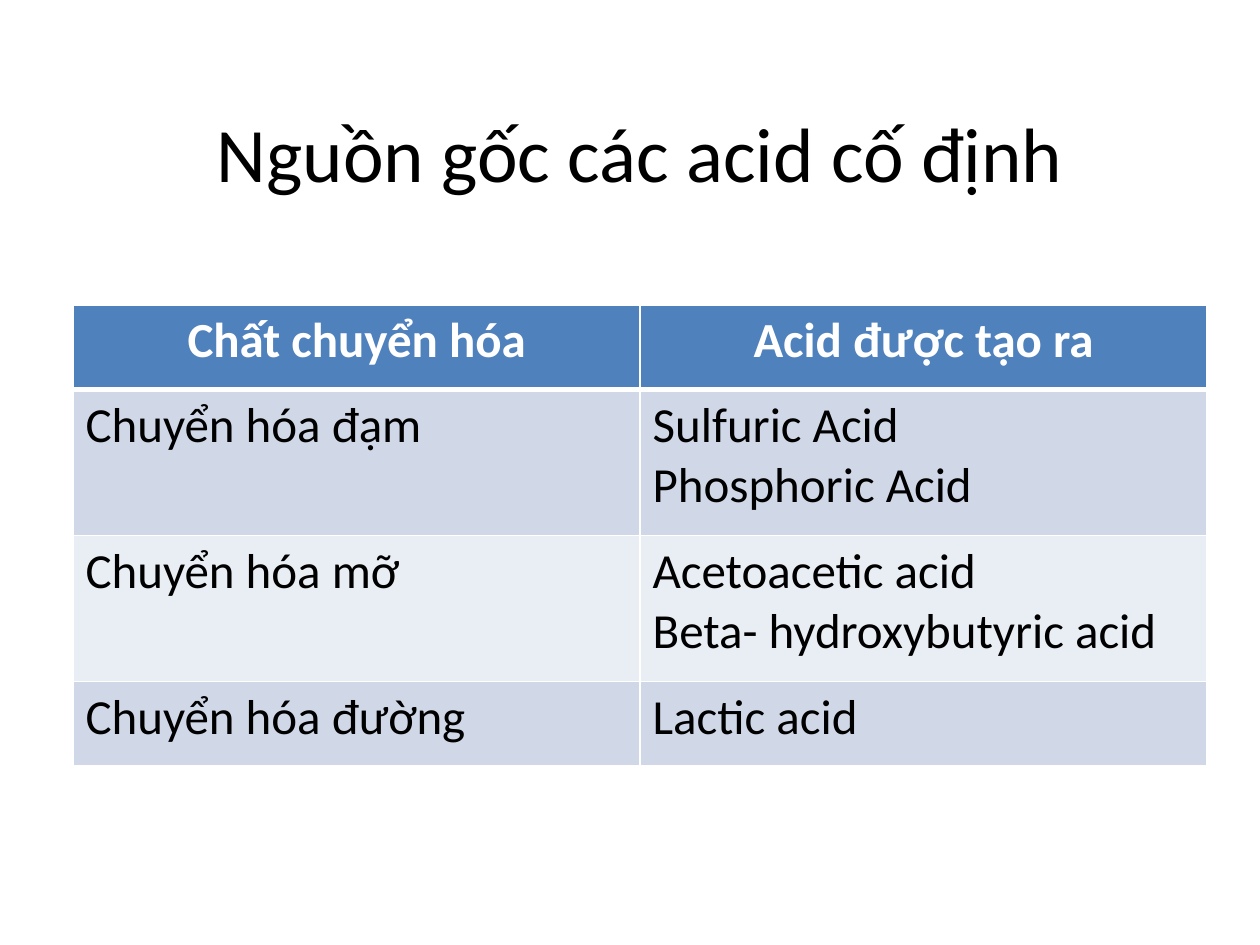
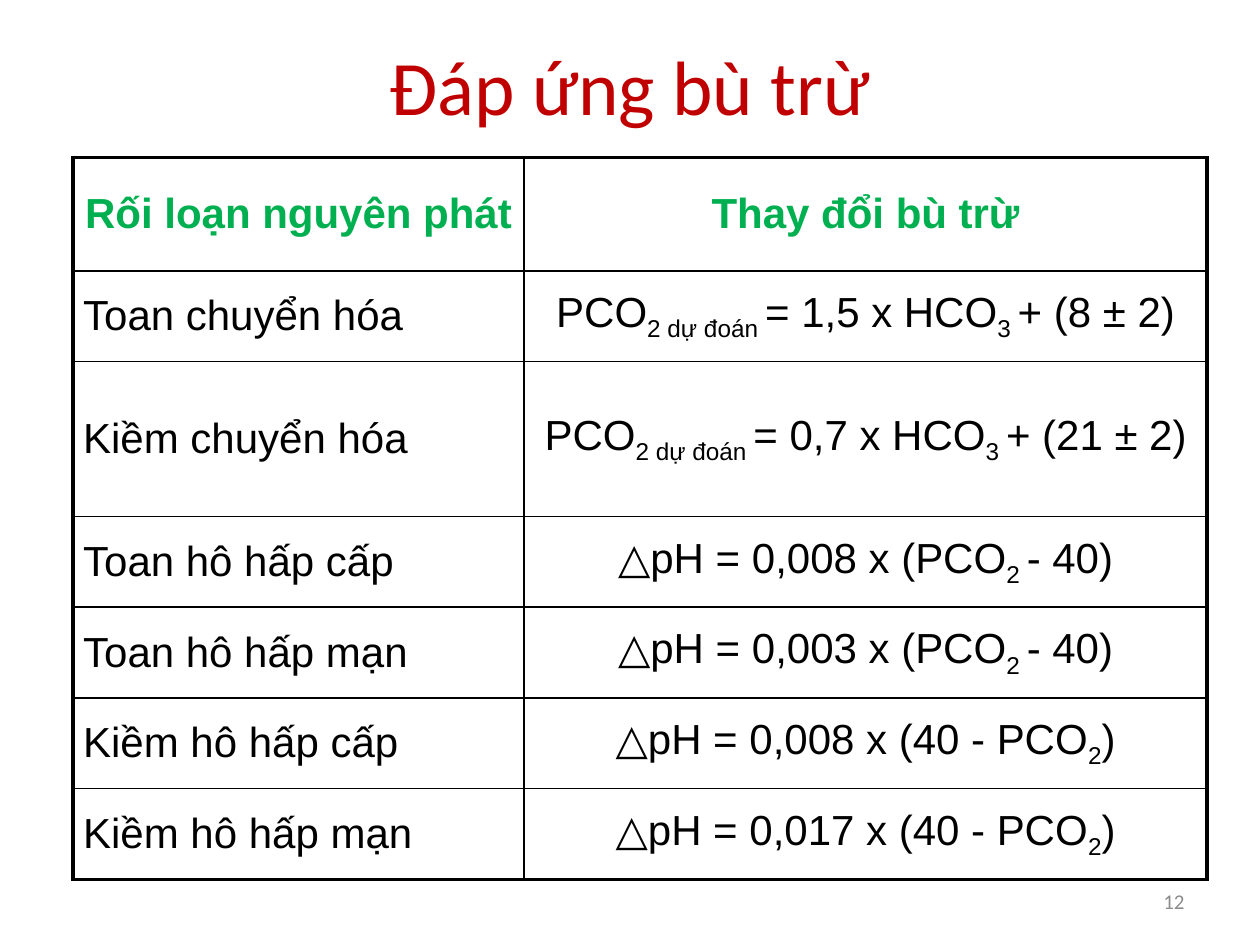
"""Build two slides on fixed acids and compensatory responses."""
from lxml import etree
from pptx import Presentation
from pptx.dml.color import RGBColor
from pptx.enum.text import MSO_ANCHOR, PP_ALIGN
from pptx.oxml.ns import qn
from pptx.util import Inches, Pt

BLACK = RGBColor(0x00, 0x00, 0x00)
WHITE = RGBColor(0xFF, 0xFF, 0xFF)
RED = RGBColor(0xC0, 0x00, 0x00)
GREEN = RGBColor(0x00, 0xB0, 0x50)
GREY = RGBColor(0x8C, 0x8C, 0x8C)
HEADER_BLUE = RGBColor(0x4F, 0x81, 0xBD)
BAND_DARK = RGBColor(0xD0, 0xD8, 0xE8)
BAND_LIGHT = RGBColor(0xE9, 0xED, 0xF4)
TITLE_ONLY = 5
TABLE_LEFT = 0.58

ACID_ROWS = [
    ("Chất chuyển hóa", "Acid được tạo ra"),
    ("Chuyển hóa đạm", "Sulfuric Acid\nPhosphoric Acid"),
    ("Chuyển hóa mỡ", "Acetoacetic acid\nBeta- hydroxybutyric acid"),
    ("Chuyển hóa đường", "Lactic acid"),
]
RESPONSE_ROWS = [
    ("Rối loạn nguyên phát", "Thay đổi bù trừ"),
    ("Toan chuyển hóa", "PCO|2 dự đoán |= 1,5 x HCO|3 |+ (8 ± 2)"),
    ("Kiềm chuyển hóa", "PCO|2 dự đoán |= 0,7 x HCO|3 |+ (21 ± 2)"),
    ("Toan hô hấp cấp", "△pH = 0,008 x (PCO|2 |- 40)"),
    ("Toan hô hấp mạn", "△pH = 0,003 x (PCO|2 |- 40)"),
    ("Kiềm hô hấp cấp", "△pH = 0,008 x (40 - PCO|2|)"),
    ("Kiềm hô hấp mạn", "△pH = 0,017 x (40 - PCO|2|)"),
]


class Deck:
    """Hold the shared style and the current slide."""

    title_font = "Calibri"
    title_size = 44

    def __init__(self):
        """Start an empty 10 by 7.5 inch presentation."""
        self.presentation = Presentation()
        self.presentation.slide_width = Inches(10)
        self.presentation.slide_height = Inches(7.5)
        self.slide = None

    def add_slide(self, title, box, color):
        """Add a title-only slide and format its title."""
        layout = self.presentation.slide_layouts[TITLE_ONLY]
        self.slide = self.presentation.slides.add_slide(layout)
        shape = self.slide.shapes.title
        shape.left, shape.top, shape.width, shape.height = map(Inches, box)
        shape.text_frame.vertical_anchor = MSO_ANCHOR.MIDDLE
        self.add_text(shape.text_frame, title, self.title_font,
                      self.title_size, color, PP_ALIGN.CENTER)

    def add_text(self, frame, text, font, size, color, alignment, bold=False):
        """Add lines split by newlines, with subscripts between bars."""
        for number, line in enumerate(text.split("\n")):
            paragraph = frame.add_paragraph() if number else frame.paragraphs[0]
            paragraph.alignment = alignment
            for index, part in enumerate(line.split("|")):
                run = paragraph.add_run()
                run.text = part
                run.font.name = font
                run.font.size = Pt(size)
                run.font.bold = bold
                run.font.color.rgb = color
                if index % 2:
                    run._r.get_or_add_rPr().set("baseline", "-25000")

    def add_table(self, top, widths, heights):
        """Add an unbanded table with the given column and row sizes."""
        frame = self.slide.shapes.add_table(
            len(heights), len(widths), Inches(TABLE_LEFT), Inches(top),
            Inches(sum(widths)), Inches(sum(heights)))
        table = frame.table
        table.first_row = table.horz_banding = False
        for column, width in zip(table.columns, widths):
            column.width = Inches(width)
        for row, height in zip(table.rows, heights):
            row.height = Inches(height)
        return table

    def set_borders(self, cell, color, left, right, top, bottom):
        """Draw the four borders of a cell, with widths in points."""
        properties = cell._tc.get_or_add_tcPr()
        sides = zip(("lnL", "lnR", "lnT", "lnB"), (left, right, top, bottom))
        for position, (tag, width) in enumerate(sides):
            line = etree.Element(qn(f"a:{tag}"), w=str(Pt(width)))
            fill = etree.SubElement(line, qn("a:solidFill"))
            etree.SubElement(fill, qn("a:srgbClr"), val=str(color))
            properties.insert(position, line)

    def add_banded_table(self, rows, top, widths, heights):
        """Add a table with a blue header and alternating bands."""
        table = self.add_table(top, widths, heights)
        for r, texts in enumerate(rows):
            header = r == 0
            band = BAND_DARK if r % 2 else BAND_LIGHT
            for c, text in enumerate(texts):
                cell = table.cell(r, c)
                cell.fill.solid()
                cell.fill.fore_color.rgb = HEADER_BLUE if header else band
                self.set_borders(cell, WHITE, 1, 1, 3 if r == 1 else 1,
                                 3 if header else 1)
                self.add_text(cell.text_frame, text, "Calibri", 28,
                              WHITE if header else BLACK,
                              PP_ALIGN.CENTER if header else PP_ALIGN.LEFT,
                              header)

    def add_ruled_table(self, rows, top, widths, heights):
        """Add an unfilled table with a heavy outer frame."""
        table = self.add_table(top, widths, heights)
        last_row, last_column = len(heights) - 1, len(widths) - 1
        for r, texts in enumerate(rows):
            header = r == 0
            for c, text in enumerate(texts):
                cell = table.cell(r, c)
                cell.fill.background()
                cell.vertical_anchor = MSO_ANCHOR.MIDDLE
                cell.margin_left = cell.margin_right = Inches(0.08)
                cell.margin_top = cell.margin_bottom = Inches(0.04)
                outer = (c == 0, c == last_column, header, r == last_row)
                self.set_borders(cell, BLACK,
                                 *(2.25 if edge else 1 for edge in outer))
                centred = header or c > 0
                self.add_text(cell.text_frame, text, "Arial", 24,
                              GREEN if header else BLACK,
                              PP_ALIGN.CENTER if centred else PP_ALIGN.LEFT,
                              header)

    def add_page_number(self, number):
        """Add the page number at the lower right."""
        box = self.slide.shapes.add_textbox(
            Inches(7.17), Inches(6.95), Inches(2.33), Inches(0.4))
        box.text_frame.word_wrap = True
        box.text_frame.vertical_anchor = MSO_ANCHOR.MIDDLE
        self.add_text(box.text_frame, number, "Calibri", 12, GREY,
                      PP_ALIGN.RIGHT)


def main():
    """Build and save the presentation."""
    deck = Deck()
    deck.add_slide("Nguồn gốc các acid cố định", (0.58, 0.58, 9, 1.25), BLACK)
    deck.add_banded_table(ACID_ROWS, 2.42, (4.5, 4.5), (0.67, 1.16, 1.16, 0.67))

    deck.add_slide("Đáp ứng bù trừ", (0.75, 0.18, 8.5, 0.98), RED)
    deck.add_ruled_table(RESPONSE_ROWS, 1.25, (3.58, 5.42),
                         (0.9, 0.72, 1.23) + (0.72,) * 4)
    deck.add_page_number("12")
    deck.presentation.save("out.pptx")


if __name__ == "__main__":
    main()
